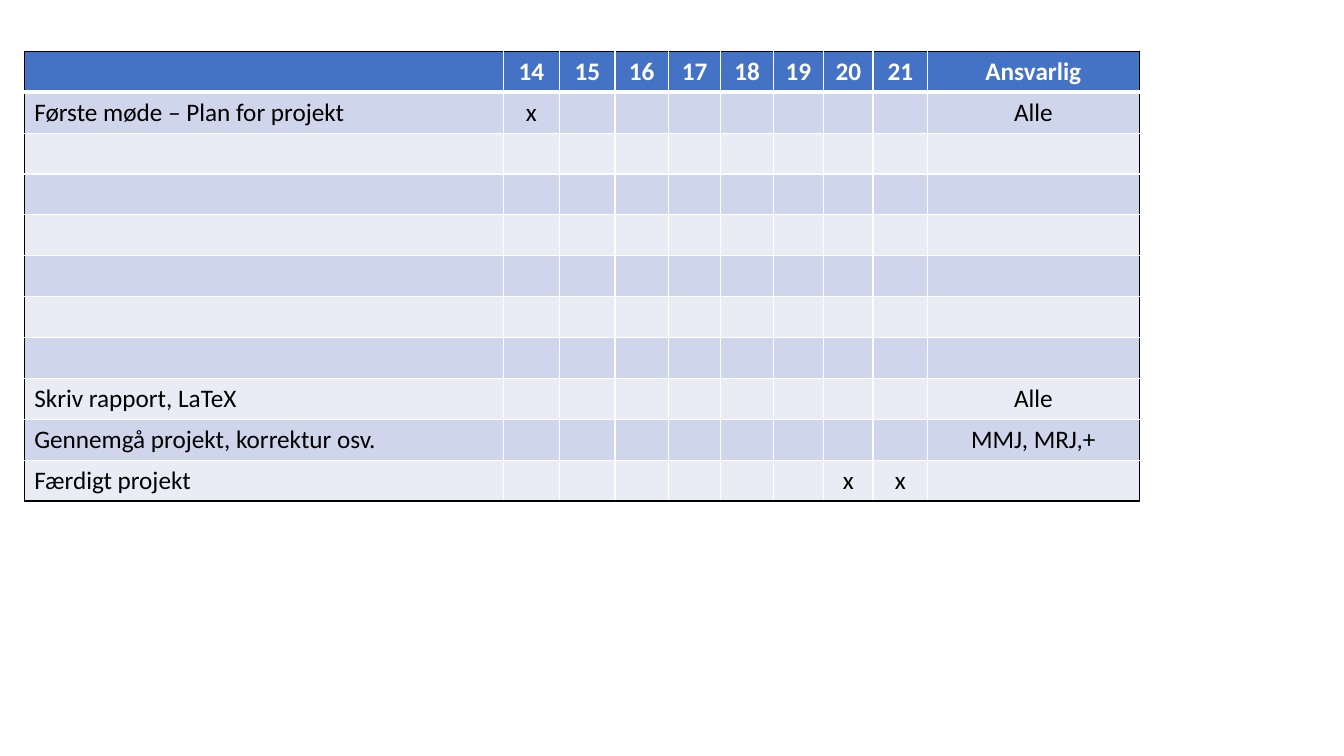
from lxml import etree
from pptx import Presentation
from pptx.dml.color import RGBColor
from pptx.enum.text import PP_ALIGN
from pptx.oxml.ns import qn
from pptx.util import Inches, Pt

CENTER, LEFT = PP_ALIGN.CENTER, PP_ALIGN.LEFT
COLORS = {
    "header": "4472C4",
    "odd_row": "CFD5EA",
    "even_row": "E9EBF5",
    "grid": "FFFFFF",
    "frame": "000000",
    "header_text": "FFFFFF",
    "body_text": "000000",
}
FONT = "Calibri"
FONT_SIZE = 18
TABLE_LEFT, TABLE_TOP = 0.24, 0.51
ROW_HEIGHT = 4.46 / 11
COLUMN_WIDTHS = [4.75, 0.56, 0.55, 0.53, 0.52, 0.52, 0.5, 0.49, 0.54, 2.1]
WEEKS = range(14, 22)
TASKS = [
    ("Første møde – Plan for projekt", [14], "Alle"),
    *[("", [], "")] * 6,
    ("Skriv rapport, LaTeX", [], "Alle"),
    ("Gennemgå projekt, korrektur osv.", [], "MMJ, MRJ,+"),
    ("Færdigt projekt", [20, 21], ""),
]


def plan_rows():
    header = ["", *[str(week) for week in WEEKS], "Ansvarlig"]
    body = [
        [task, *["x" if week in marked else "" for week in WEEKS], responsible]
        for task, marked, responsible in TASKS
    ]
    return [header, *body]


def add_border(cell, side, color, width):
    properties = cell._tc.get_or_add_tcPr()
    line = etree.SubElement(properties, qn(f"a:ln{side}"), w=str(Pt(width)))
    fill = etree.SubElement(line, qn("a:solidFill"))
    etree.SubElement(fill, qn("a:srgbClr"), val=COLORS[color])


def add_borders(cell, row, column, last_row, last_column):
    outer = {
        "L": column == 0,
        "R": column == last_column,
        "T": row == 0,
        "B": row == last_row,
    }
    for side, is_outer in outer.items():
        below_header = (row, side) in [(0, "B"), (1, "T")]
        add_border(cell, side, "frame" if is_outer else "grid", 3 if below_header else 1)


def fill_cell(cell, text, row, column):
    fill_name = "header" if row == 0 else "odd_row" if row % 2 else "even_row"
    cell.fill.solid()
    cell.fill.fore_color.rgb = RGBColor.from_string(COLORS[fill_name])
    paragraph = cell.text_frame.paragraphs[0]
    paragraph.alignment = LEFT if column == 0 else CENTER
    paragraph.font.size = Pt(FONT_SIZE)
    if text:
        paragraph.text = text
    for run in paragraph.runs:
        run.font.name = FONT
        run.font.size = Pt(FONT_SIZE)
        run.font.bold = row == 0
        text_color = "header_text" if row == 0 else "body_text"
        run.font.color.rgb = RGBColor.from_string(COLORS[text_color])


def add_plan_table(slide, rows):
    frame = slide.shapes.add_table(
        len(rows), len(COLUMN_WIDTHS),
        Inches(TABLE_LEFT), Inches(TABLE_TOP),
        Inches(sum(COLUMN_WIDTHS)), Inches(ROW_HEIGHT * len(rows)),
    )
    table = frame.table
    for column, width in zip(table.columns, COLUMN_WIDTHS):
        column.width = Inches(width)
    for row, texts in enumerate(rows):
        table.rows[row].height = Inches(ROW_HEIGHT)
        for column, text in enumerate(texts):
            cell = table.cell(row, column)
            add_borders(cell, row, column, len(rows) - 1, len(texts) - 1)
            fill_cell(cell, text, row, column)


def main():
    presentation = Presentation()
    presentation.slide_width = Inches(13.33)
    presentation.slide_height = Inches(7.5)
    slide = presentation.slides.add_slide(presentation.slide_layouts[6])
    add_plan_table(slide, plan_rows())
    presentation.save("out.pptx")


if __name__ == "__main__":
    main()
